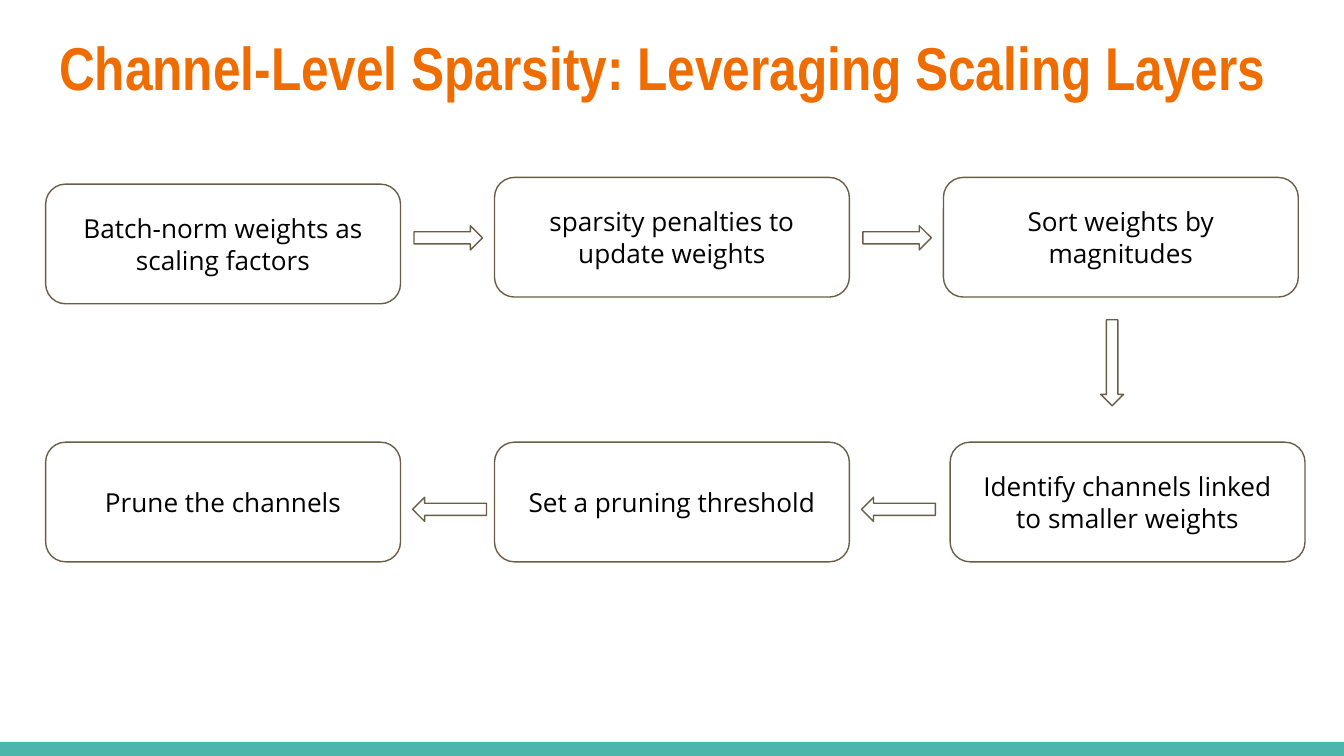
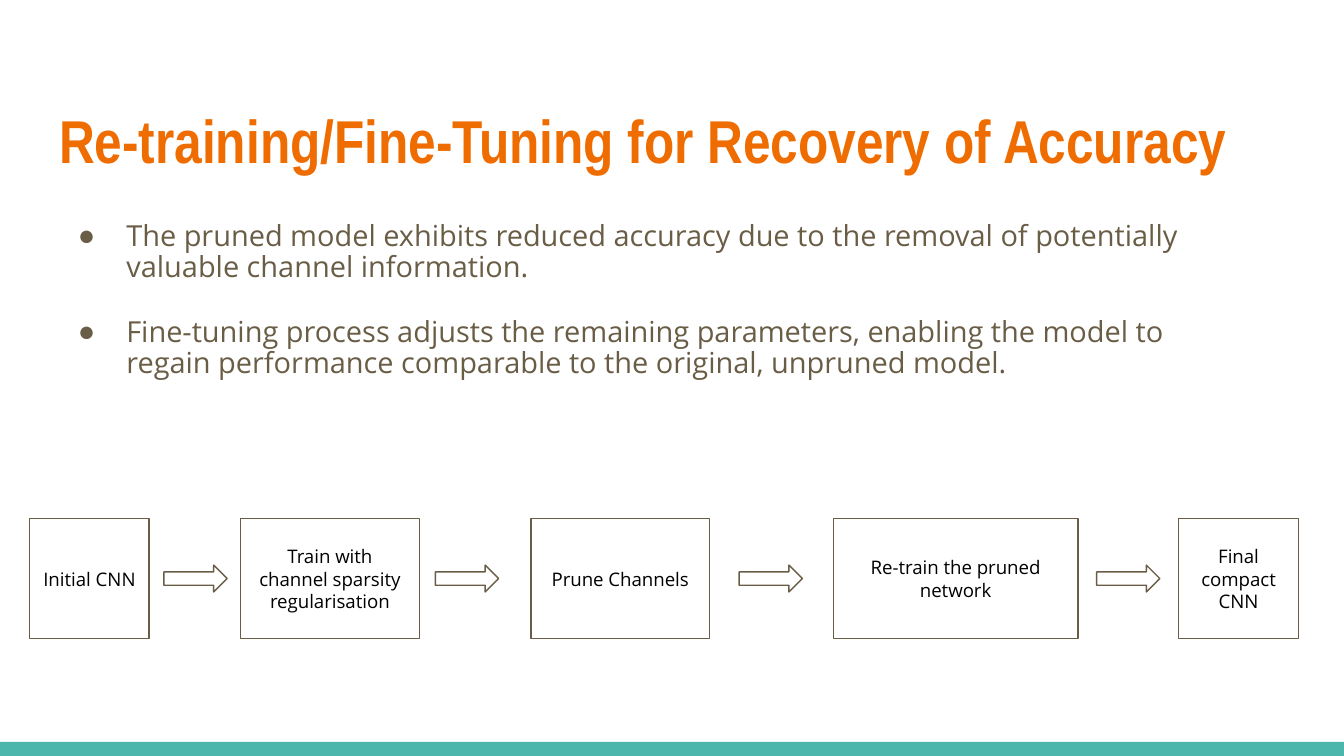
from lxml import etree
from pptx import Presentation
from pptx.dml.color import RGBColor
from pptx.enum.shapes import MSO_SHAPE as SHAPE
from pptx.enum.text import MSO_ANCHOR as ANCHOR, MSO_AUTO_SIZE as AUTO_SIZE, PP_ALIGN as ALIGN
from pptx.oxml.ns import qn
from pptx.util import Inches, Pt

SLIDE_WIDTH = 10
SLIDE_HEIGHT = SLIDE_WIDTH * 9 / 16
COLORS = {
    "band": "4DB6AC",
    "title": "EF6C00",
    "body": "695D46",
    "outline": "695D46",
    "paper": "FFFFFF",
    "label": "000000",
}
TITLE_FONT = {"name": "Arial Narrow", "size": Pt(32.4), "bold": True}
BODY_FONT = {"name": "Open Sans", "size": Pt(15.5)}
STEP_FONT = {"name": "Open Sans", "size": Pt(14)}
STAGE_FONT = {"name": "Open Sans", "size": Pt(10)}
FRAME_FORMAT = {
    "word_wrap": True,
    "auto_size": AUTO_SIZE.NONE,
    "margin_left": Inches(0.1),
    "margin_top": Inches(0.1),
    "margin_right": Inches(0.1),
    "margin_bottom": Inches(0.1),
}
TITLE_ONLY, TITLE_AND_BODY = 5, 1


def color(key):
    return RGBColor.from_string(COLORS[key])


def apply_format(target, values):
    for name, value in values.items():
        setattr(target, name, value)


def place(shape, box):
    lengths = map(Inches, box)
    apply_format(shape, dict(zip(("left", "top", "width", "height"), lengths)))


def write(shape, lines, font, color_key, anchor, paragraph_format):
    frame = shape.text_frame
    apply_format(frame, {**FRAME_FORMAT, "vertical_anchor": anchor})
    frame.text = "\n".join(lines)
    for paragraph in frame.paragraphs:
        apply_format(paragraph, paragraph_format)
        for run in paragraph.runs:
            apply_format(run.font, font)
            run.font.color.rgb = color(color_key)


def add_figure(slide, kind, box, fill="paper", outline="outline"):
    shape = slide.shapes.add_shape(kind, *map(Inches, box))
    shape.shadow.inherit = False
    shape.fill.solid()
    shape.fill.fore_color.rgb = color(fill)
    if outline:
        shape.line.color.rgb = color(outline)
        shape.line.width = Pt(0.75)
    else:
        shape.line.fill.background()
    return shape


def add_label_box(slide, kind, box, label, font):
    shape = add_figure(slide, kind, box)
    write(shape, [label], font, "label", ANCHOR.MIDDLE, {"alignment": ALIGN.CENTER})


def add_titled_slide(presentation, layout, title, title_top):
    slide = presentation.slides.add_slide(presentation.slide_layouts[layout])
    add_figure(slide, SHAPE.RECTANGLE, (0, 5.52, SLIDE_WIDTH, 0.11), "band", None)
    place(slide.shapes.title, (0.34, title_top, 9.32, 0.77))
    write(slide.shapes.title, [title], TITLE_FONT, "title", ANCHOR.TOP,
          {"alignment": ALIGN.LEFT})
    return slide


def add_bullet(paragraph):
    properties = paragraph._p.get_or_add_pPr()
    properties.set("marL", str(Inches(0.5)))
    properties.set("indent", str(Inches(-0.36)))
    bullet_color = etree.SubElement(properties, qn("a:buClr"))
    etree.SubElement(bullet_color, qn("a:srgbClr"), val=COLORS["body"])
    etree.SubElement(properties, qn("a:buFont"), typeface="Arial")
    etree.SubElement(properties, qn("a:buChar"), char="●")


def fill_body(slide, box, lines):
    body = slide.placeholders[1]
    place(body, box)
    write(body, lines, BODY_FONT, "body", ANCHOR.TOP,
          {"alignment": ALIGN.LEFT, "line_spacing": 0.9, "space_before": Pt(0)})
    paragraphs = body.text_frame.paragraphs
    for paragraph in paragraphs[:-1]:
        paragraph.space_after = Pt(18)
    for paragraph in paragraphs:
        add_bullet(paragraph)


def add_pruning_loop(slide, left, top):
    """Six steps: along the upper row, down, then back along the lower row."""
    column_pitch, row_pitch, width, height = 3.34, 1.97, 2.64, 0.89
    # label, column, row, horizontal nudge, vertical nudge
    steps = [
        ("Batch-norm weights as scaling factors", 0, 0, 0, 0.05),
        ("sparsity penalties to update weights", 1, 0, 0, 0),
        ("Sort weights by magnitudes", 2, 0, 0, 0),
        ("Identify channels linked to smaller weights", 2, 1, 0.05, 0),
        ("Set a pruning threshold", 1, 1, 0, 0),
        ("Prune the channels", 0, 1, 0, 0),
    ]
    for label, column, row, shift_x, shift_y in steps:
        box = (left + column * column_pitch + shift_x,
               top + row * row_pitch + shift_y, width, height)
        add_label_box(slide, SHAPE.ROUNDED_RECTANGLE, box, label, STEP_FONT)

    for column in range(2):
        gap_left = left + column * column_pitch + width
        add_figure(slide, SHAPE.RIGHT_ARROW, (gap_left + 0.1, top + 0.36, 0.51, 0.18))
        add_figure(slide, SHAPE.LEFT_ARROW,
                   (gap_left + 0.09, top + row_pitch + 0.41, 0.55, 0.18))
    add_figure(slide, SHAPE.DOWN_ARROW, (left + 7.85, top + 1.06, 0.17, 0.64))


def add_training_pipeline(slide, left, top):
    height, arrow_width, arrow_height = 0.89, 0.47, 0.2
    # label, offset, width
    stages = [
        ("Initial CNN", 0, 0.89),
        ("Train with channel sparsity regularisation", 1.57, 1.33),
        ("Prune Channels", 3.73, 1.33),
        ("Re-train the pruned network", 5.98, 1.82),
        ("Final compact CNN", 8.55, 0.89),
    ]
    for label, offset, width in stages:
        add_label_box(slide, SHAPE.RECTANGLE, (left + offset, top, width, height),
                      label, STAGE_FONT)
    arrow_top = top + (height - arrow_height) / 2
    for offset in (1, 3.02, 5.28, 7.94):
        add_figure(slide, SHAPE.RIGHT_ARROW,
                   (left + offset, arrow_top, arrow_width, arrow_height))


def build_sparsity_slide(presentation):
    slide = add_titled_slide(presentation, TITLE_ONLY,
                             "Channel-Level Sparsity: Leveraging Scaling Layers", 0.12)
    add_pruning_loop(slide, 0.34, 1.32)


def build_retraining_slide(presentation):
    slide = add_titled_slide(presentation, TITLE_AND_BODY,
                             "Re-training/Fine-Tuning for Recovery of Accuracy", 0.67)
    fill_body(slide, (0.34, 1.55, 8.91, 1.91), [
        "The pruned model exhibits reduced accuracy due to the removal of "
        "potentially valuable channel information.",
        "Fine-tuning process adjusts the remaining parameters, enabling the model "
        "to regain performance comparable to the original, unpruned model.",
    ])
    add_training_pipeline(slide, 0.22, 3.86)


def main():
    presentation = Presentation()
    presentation.slide_width = Inches(SLIDE_WIDTH)
    presentation.slide_height = Inches(SLIDE_HEIGHT)
    build_sparsity_slide(presentation)
    build_retraining_slide(presentation)
    presentation.save("out.pptx")


if __name__ == "__main__":
    main()
